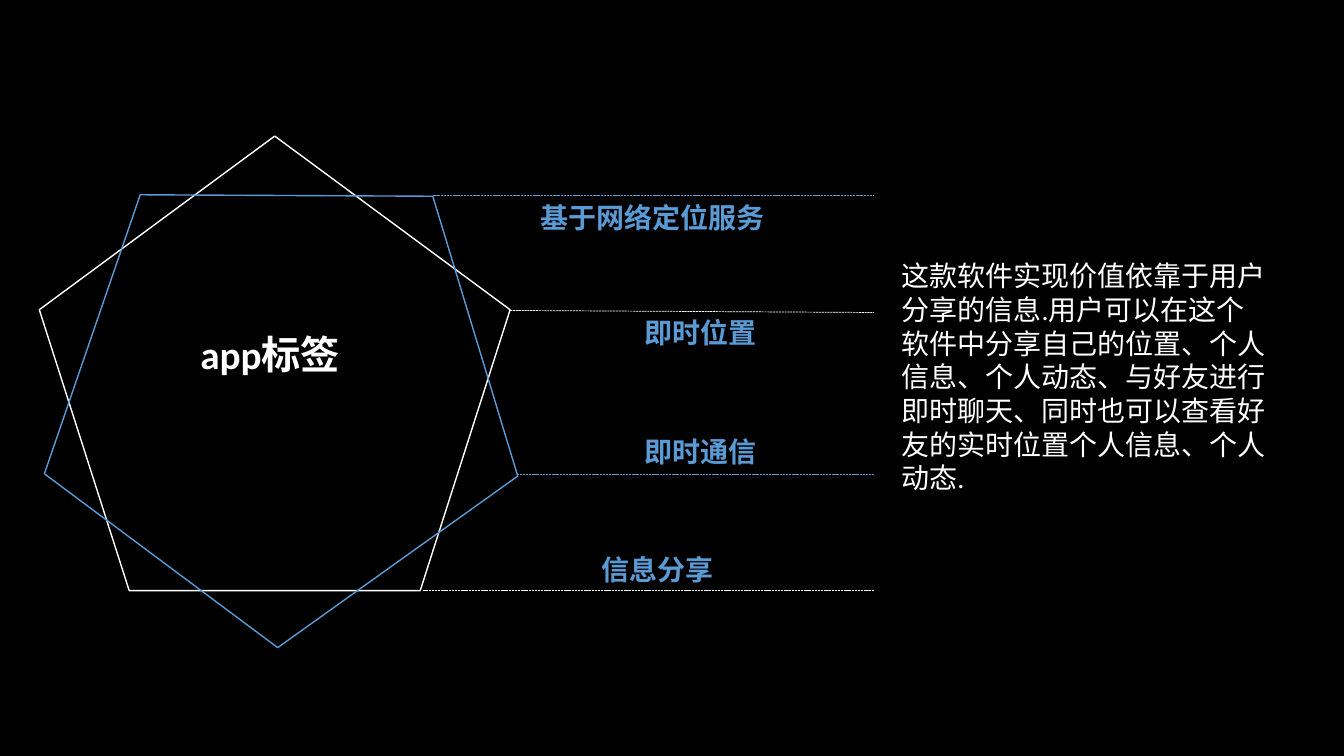
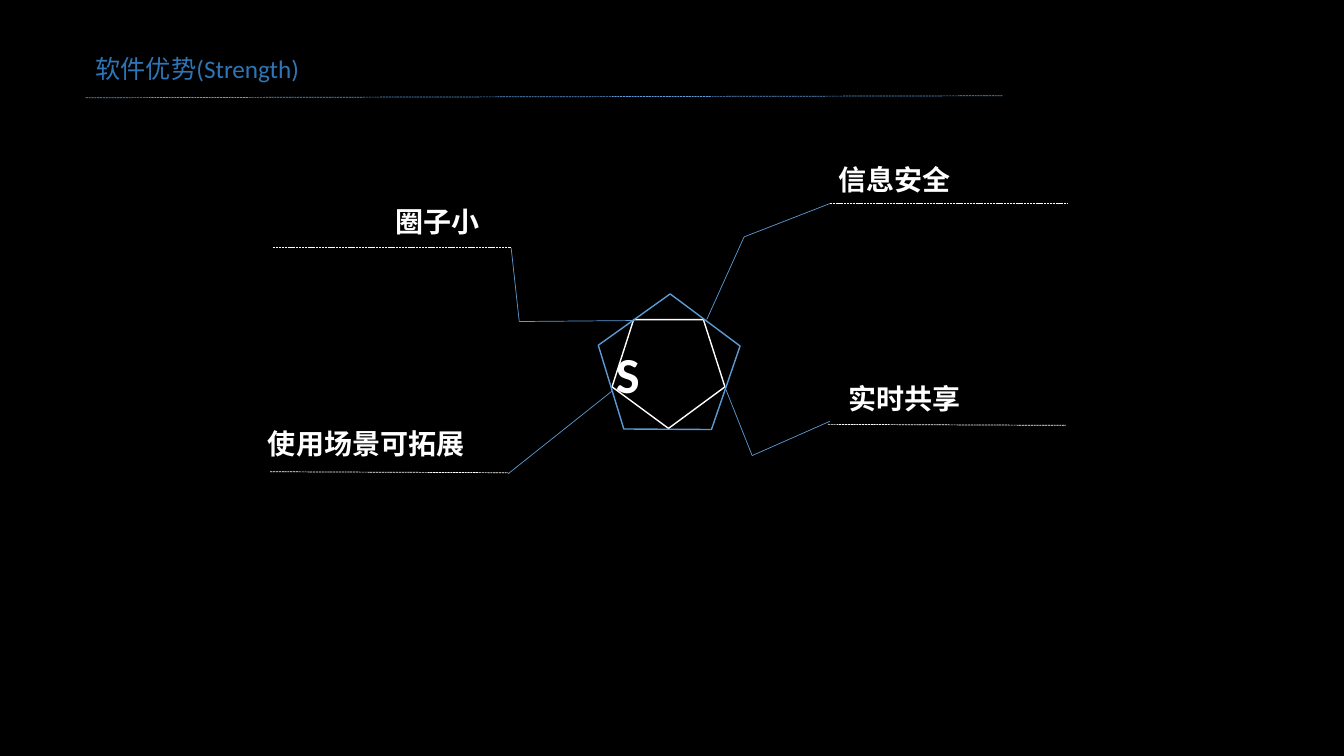
"""Builds two dark slides of pentagons with labelled leader lines."""
import lxml.etree
import pptx
import pptx.dml.color
import pptx.enum.dml
import pptx.enum.shapes
import pptx.enum.text
import pptx.oxml.ns
import pptx.util

Inches = pptx.util.Inches
Align = pptx.enum.text.PP_ALIGN

HUES = {
    "black": "000000",
    "white": "FFFFFF",
    "blue": "5B9BD5",
    "navy": "2E75B6",
}


def tint(name):
    return pptx.dml.color.RGBColor.from_string(HUES[name])


def write(frame, text, size=20, hue="white", bold=True, align=Align.LEFT):
    frame.word_wrap = True
    frame.auto_size = pptx.enum.text.MSO_AUTO_SIZE.SHAPE_TO_FIT_TEXT
    para = frame.paragraphs[0]
    para.alignment = align
    run = para.add_run()
    run.text = text
    run.font.name = "Calibri"
    run.font.size = pptx.util.Pt(size)
    run.font.bold = bold
    run.font.color.rgb = tint(hue)


class Deck:
    def __init__(self):
        self.file = pptx.Presentation()
        self.file.slide_width = Inches(13.33)
        self.file.slide_height = Inches(7.5)
        fill = self.file.slide_master.background.fill
        fill.solid()
        fill.fore_color.rgb = tint("black")
        self.slide = None

    def page(self):
        self.slide = self.file.slides.add_slide(self.file.slide_layouts[6])

    def label(self, text, left, top, width, height=0.44, **style):
        box = self.slide.shapes.add_textbox(
            Inches(left), Inches(top), Inches(width), Inches(height))
        write(box.text_frame, text, **style)

    def ring(self, left, top, width, height, hue, turn=0):
        shape = self.slide.shapes.add_shape(
            pptx.enum.shapes.MSO_SHAPE.REGULAR_PENTAGON,
            Inches(left), Inches(top), Inches(width), Inches(height))
        shape.shadow.inherit = False
        shape.rotation = turn
        shape.fill.background()
        shape.line.color.rgb = tint(hue)
        shape.line.width = pptx.util.Pt(1)

    def rule(self, start, end, hue="white", dash=True):
        line = self.slide.shapes.add_connector(
            pptx.enum.shapes.MSO_CONNECTOR.STRAIGHT,
            *(Inches(n) for n in (*start, *end)))
        line.line.color.rgb = tint(hue)
        line.line.width = pptx.util.Pt(0.5)
        if dash:
            line.line.dash_style = pptx.enum.dml.MSO_LINE.SQUARE_DOT
        lxml.etree.SubElement(
            line._element.spPr, pptx.oxml.ns.qn("a:effectLst"))

    def trail(self, *points):
        for start, end in zip(points, points[1:]):
            self.rule(start, end, hue="blue", dash=False)


def tags(deck):
    deck.page()
    deck.ring(0.39, 1.35, 4.67, 4.51, "white")
    deck.ring(0.61, 1.5, 4.67, 4.51, "blue", turn=36.7)
    deck.label("app标签", 1.22, 3.23, 2.92, 0.57, size=28, align=Align.CENTER)

    edge = 8.67
    for start, end, hue in (
        ((4.29, 1.94), 1.94, "blue"),
        ((5.06, 3.08), 3.1, "white"),
        ((5.13, 4.71), 4.71, "blue"),
        ((4.2, 5.86), 5.86, "white"),
    ):
        deck.rule(start, (edge, end), hue)
    for text, left, top, width in (
        ("基于网络定位服务", 4.28, 1.94, 4.39),
        ("即时位置", 5.17, 3.08, 3.55),
        ("即时通信", 5.13, 4.26, 3.64),
        ("信息分享", 4.2, 5.43, 4.64),
    ):
        deck.label(text, left, top, width, hue="blue", align=Align.CENTER)

    deck.label(
        "这款软件实现价值依靠于用户分享的信息.用户可以在这个软件中分享自己的位置、"
        "个人信息、个人动态、与好友进行即时聊天、同时也可以查看好友的实时位置"
        "个人信息、个人动态.",
        8.84, 2.52, 3.82, 2.46, bold=False)


def gains(deck):
    deck.page()
    deck.label("软件优势(Strength)", 0.85, 0.48, 4.43, 0.4,
               size=18, hue="navy", bold=False)
    deck.rule((0.85, 0.97), (9.95, 0.95), "blue")

    deck.ring(6.07, 3.17, 1.12, 1.08, "white", turn=180)
    deck.ring(5.89, 3.04, 1.4, 1.35, "blue", turn=216.7)
    deck.label("S", 6.01, 3.35, 1.24, 0.71, size=36, align=Align.JUSTIFY)

    span = 2.36
    for text, left, top, width, start, drop in (
        ("信息安全", 8.22, 1.56, 2.36, (8.23, 2.02), 0),
        ("圈子小", 3.82, 1.98, 1.36, (2.71, 2.45), 0),
        ("使用场景可拓展", 2.56, 4.18, 2.47, (2.68, 4.68), 0.01),
        ("实时共享", 8.32, 3.74, 2.36, (8.21, 4.21), 0.01),
    ):
        deck.label(text, left, top, width)
        deck.rule(start, (start[0] + span, start[1] + drop))

    deck.trail((8.23, 2.02), (7.38, 2.35), (7.01, 3.17))
    deck.trail((5.07, 2.46), (5.15, 3.19), (6.29, 3.18))
    deck.trail((5.04, 4.7), (6.07, 3.88))
    deck.trail((8.23, 4.18), (7.46, 4.52), (7.19, 3.84))


def main():
    deck = Deck()
    tags(deck)
    gains(deck)
    deck.file.save("out.pptx")


if __name__ == "__main__":
    main()
